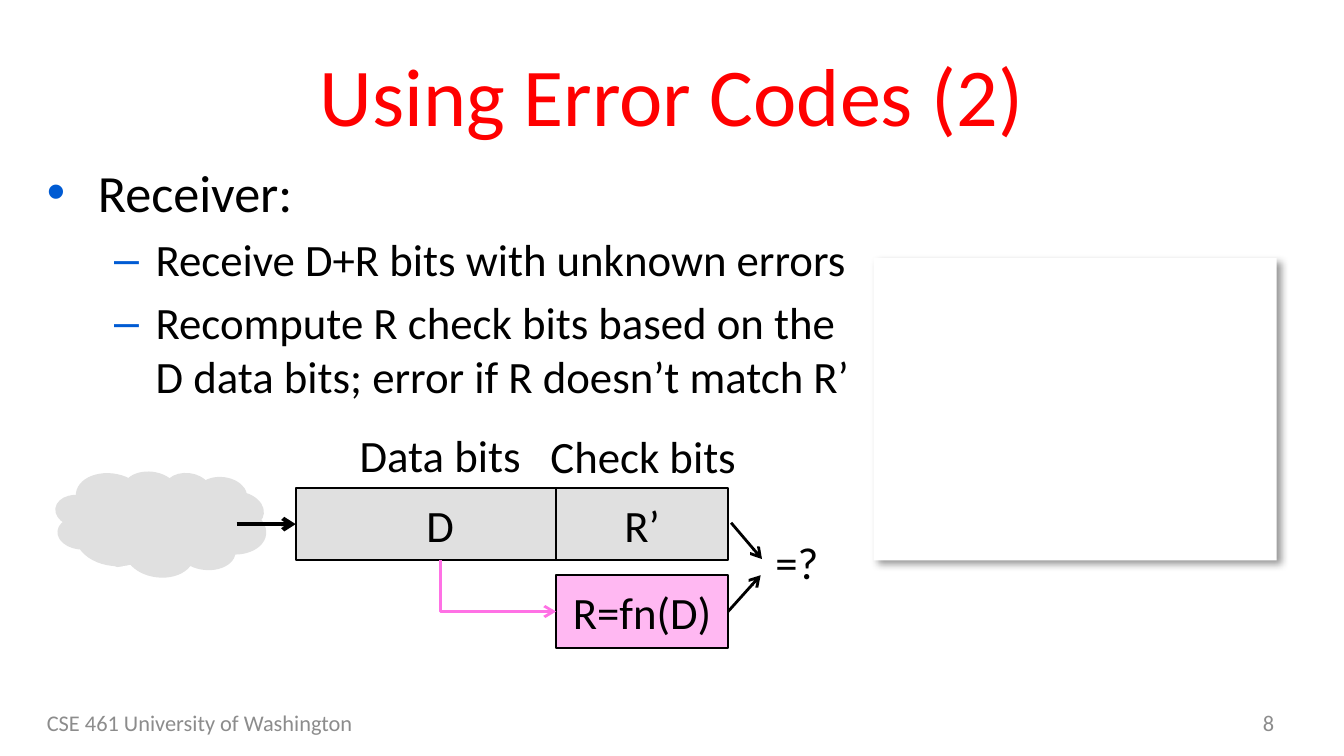
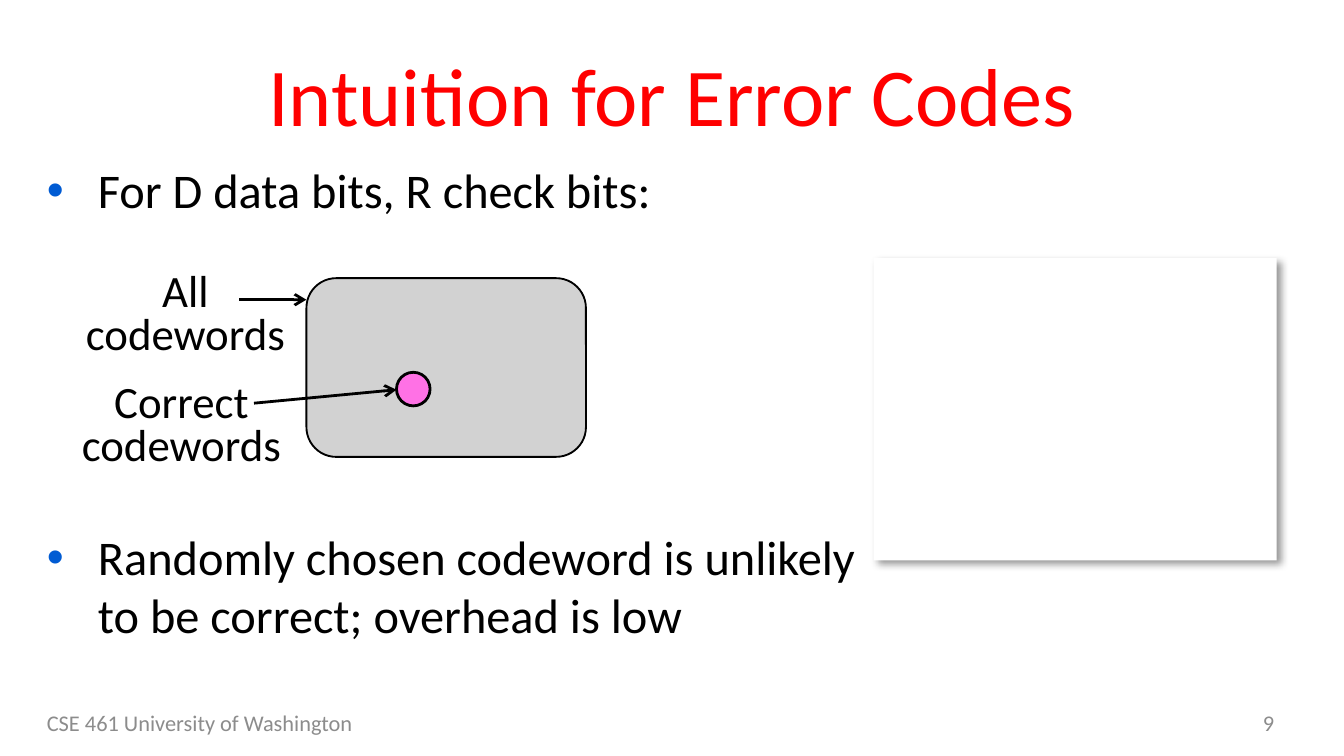
from pptx import Presentation
from pptx.dml.color import RGBColor
from pptx.enum.shapes import MSO_CONNECTOR, MSO_SHAPE
from pptx.enum.text import MSO_ANCHOR, PP_ALIGN
from pptx.oxml import parse_xml
from pptx.oxml.ns import nsdecls
from pptx.oxml.xmlchemy import OxmlElement
from pptx.util import Inches, Pt

BLACK = RGBColor(0x00, 0x00, 0x00)
WHITE = RGBColor(0xFF, 0xFF, 0xFF)
RED = RGBColor(0xFF, 0x00, 0x00)
FOOTER_GRAY = RGBColor(0x8C, 0x8C, 0x8C)
LIGHT_GRAY = RGBColor(0xE0, 0xE0, 0xE0)
MID_GRAY = RGBColor(0xD2, 0xD2, 0xD2)
PINK = RGBColor(0xFF, 0x71, 0xE5)
PALE_PINK = RGBColor(0xFF, 0xB8, 0xF2)
BULLET_BLUE = RGBColor(0x00, 0x5B, 0xD3)
FONT = "Calibri"

prs = Presentation()
prs.slide_width = Inches(10)
prs.slide_height = prs.slide_width * 9 // 16
U = prs.slide_width / 40  # grid unit: the slide is 40 columns wide


def add_box(slide, kind, at, text="", fill=None, line=None, line_width=1, size=24,
            color=BLACK, align=PP_ALIGN.CENTER, anchor=MSO_ANCHOR.MIDDLE, spacing=None):
    """Add a preset shape, or a text box when kind is None; at is in grid units."""
    left, top, width, height = (round(v * U) for v in at)
    if kind is None:
        sp = slide.shapes.add_textbox(left, top, width, height)
    else:
        sp = slide.shapes.add_shape(kind, left, top, width, height)
        sp.shadow.inherit = False
        sp.fill.solid()
        sp.fill.fore_color.rgb = fill
        if line is None:
            sp.line.fill.background()
        else:
            sp.line.color.rgb = line
            sp.line.width = Pt(line_width)
    tf = sp.text_frame
    tf.word_wrap = True
    tf.vertical_anchor = anchor
    tf.text = text
    for p in tf.paragraphs:
        p.alignment = align
        p.line_spacing = spacing
        for r in p.runs:
            r.font.name, r.font.size = FONT, Pt(size)
            r.font.color.rgb = color
    return sp


def add_arrow(slide, start, end, width=1.5, color=BLACK, kind=MSO_CONNECTOR.STRAIGHT):
    x1, y1, x2, y2 = (round(v * U) for v in (*start, *end))
    cxn = slide.shapes.add_connector(kind, x1, y1, x2, y2)
    cxn.line.color.rgb = color
    cxn.line.width = Pt(width)
    cxn.line._get_or_add_ln().append(parse_xml(f'<a:tailEnd {nsdecls("a")} type="arrow"/>'))
    cxn._element.spPr.append(OxmlElement("a:effectLst"))
    return cxn


# Title, then body paragraphs: level, text, size, space before
contents = [
    ("Using Error Codes (2)", [
        (0, "Receiver:", 28, 0),
        (1, "Receive D+R bits with unknown errors", 24, 4.8),
        (1, "Recompute R check bits based on the D data bits; error if R doesn’t match R’", 24, 4.8),
    ]),
    ("Intuition for Error Codes", [
        (0, "For D data bits, R check bits:", 25.9, 0),
        (0, "Randomly chosen codeword is unlikely to be correct; overhead is low", 25.9, 165.5),
    ]),
]
bullets = [("•", 0.38, -0.38), ("–", 0.81, -0.31)]
slides = []

for number, (title, body) in enumerate(contents, start=8):
    slide = prs.slides.add_slide(prs.slide_layouts[5])
    slides.append(slide)

    panel = add_box(slide, MSO_SHAPE.RECTANGLE, (26, 7.68, 12, 9), fill=WHITE)
    panel._element.spPr.remove(panel._element.spPr.find("{*}effectLst"))
    panel._element.spPr.append(parse_xml(
        f'<a:effectLst {nsdecls("a")}><a:outerShdw blurRad="{Pt(4)}" dist="{Pt(3)}" dir="2700000">'
        f'<a:srgbClr val="{BLACK}"><a:alpha val="40000"/></a:srgbClr></a:outerShdw></a:effectLst>'))

    for x, w, text, align in [(1, 12.68, "CSE 461 University of Washington", PP_ALIGN.LEFT),
                              (29, 9.32, str(number), PP_ALIGN.RIGHT)]:
        add_box(slide, None, (x, 20.92, w, 1.2), text, size=12, color=FOOTER_GRAY, align=align)

    sp = slide.shapes.title
    sp.left, sp.top, sp.width, sp.height = (round(v * U) for v in (1, 0.92, 38, 3.76))
    sp.text_frame.text = title
    sp.text_frame.vertical_anchor = MSO_ANCHOR.MIDDLE
    p = sp.text_frame.paragraphs[0]
    p.alignment = PP_ALIGN.CENTER
    font = p.runs[0].font
    font.name, font.size, font.color.rgb = FONT, Pt(44), RED

    sp = add_box(slide, None, (1, 4.58, 25, 15.68), "\n".join(text for _, text, _, _ in body),
                 align=PP_ALIGN.LEFT, anchor=MSO_ANCHOR.TOP)
    for p, (level, _, size, before) in zip(sp.text_frame.paragraphs, body):
        char, margin, indent = bullets[level]
        p.level = level
        p.space_before = Pt(before)
        p.runs[0].font.size = Pt(size)
        pPr = p._p.get_or_add_pPr()
        pPr.set("marL", str(Inches(margin)))
        pPr.set("indent", str(Inches(indent)))
        for xml in (f'<a:buClr {nsdecls("a")}><a:srgbClr val="{BULLET_BLUE}"/></a:buClr>',
                    f'<a:buFont {nsdecls("a")} typeface="Arial"/>',
                    f'<a:buChar {nsdecls("a")} char="{char}"/>'):
            pPr.append(parse_xml(xml))

receiver, intuition = slides

# Receiver: the received word and the recomputed check bits
row, check_row, box_h = 14.52, 17.12, 2.16
data_x, data_w, check_x, check_w = 8.8, 8.6, 16.55, 5.12
middle, check_middle = row + box_h / 2, check_row + box_h / 2
check_right = check_x + check_w

data, check, computed = [
    add_box(receiver, MSO_SHAPE.RECTANGLE, (x, y, w, box_h), text, fill=fill, line=BLACK)
    for x, y, w, text, fill in [(data_x, row, data_w, "D", LIGHT_GRAY),
                                (check_x, row, check_w, "R’", LIGHT_GRAY),
                                (check_x, check_row, check_w, "R=fn(D)", PALE_PINK)]]
for at, text in [((10.28, 12.84, 5.64, 1.72), "Data bits"),
                 ((15.96, 12.88, 6.36, 1.68), "Check bits")]:
    label = add_box(receiver, None, at, text, anchor=MSO_ANCHOR.TOP, spacing=0.8)
    label.text_frame.word_wrap = False

network = add_box(receiver, MSO_SHAPE.CLOUD_CALLOUT, (1.68, 14.04, 6.2, 3.08),
                  fill=LIGHT_GRAY, line=LIGHT_GRAY, line_width=2)
network.rotation = 6.6
network.adjustments[0], network.adjustments[1] = -0.08, 0.16

arrival = add_arrow(receiver, (7.04, middle), (data_x, middle), width=2.25)
arrival.end_connect(data, 1)

# The elbow leaves D downwards and enters R=fn(D) from the left
start = (data_x + data_w / 2, row + box_h)
elbow = add_arrow(receiver, start, (check_x, check_middle), color=PINK, kind=MSO_CONNECTOR.ELBOW)
dx, dy = elbow.width, elbow.height
elbow.left, elbow.top = elbow.left + (dx - dy) // 2, elbow.top + (dy - dx) // 2
elbow.width, elbow.height = dy, dx
elbow._element.spPr.prstGeom.set("prst", "bentConnector2")
elbow._element.spPr.xfrm.set("rot", str(270 * 60000))
elbow._element.spPr.xfrm.set("flipH", "1")

compare = add_arrow(receiver, (check_right, check_middle), (22.64, check_row))
compare.begin_connect(computed, 3)
question = add_box(receiver, MSO_SHAPE.RECTANGLE, (23.08, 15.92, 1.6, 1.6), "=?", fill=WHITE,
                   align=PP_ALIGN.LEFT, anchor=MSO_ANCHOR.TOP)
tf = question.text_frame
tf.margin_left = tf.margin_top = tf.margin_right = tf.margin_bottom = 0
add_arrow(receiver, (21.76, 15.56), (22.68, 16.64))

# Intuition: the few correct codewords among all codewords
add_box(intuition, MSO_SHAPE.ROUNDED_RECTANGLE, (9.12, 8.28, 8.32, 5.32), fill=MID_GRAY, line=BLACK)
for x, y, word, start, end in [(2.12, 7.94, "All", (7.12, 8.92), (9.12, 8.92)),
                               (2, 11.24, "Correct", (7.56, 12), (11.8, 11.6))]:
    label = add_box(intuition, None, (x, y, 6.8, 3), f"{word}\ncodewords",
                    anchor=MSO_ANCHOR.TOP, spacing=0.8)
    label.text_frame.word_wrap = False
    add_arrow(intuition, start, end)
add_box(intuition, MSO_SHAPE.OVAL, (11.8, 11.08, 1, 1), fill=PINK, line=BLACK, line_width=1.5)

prs.save("out.pptx")
